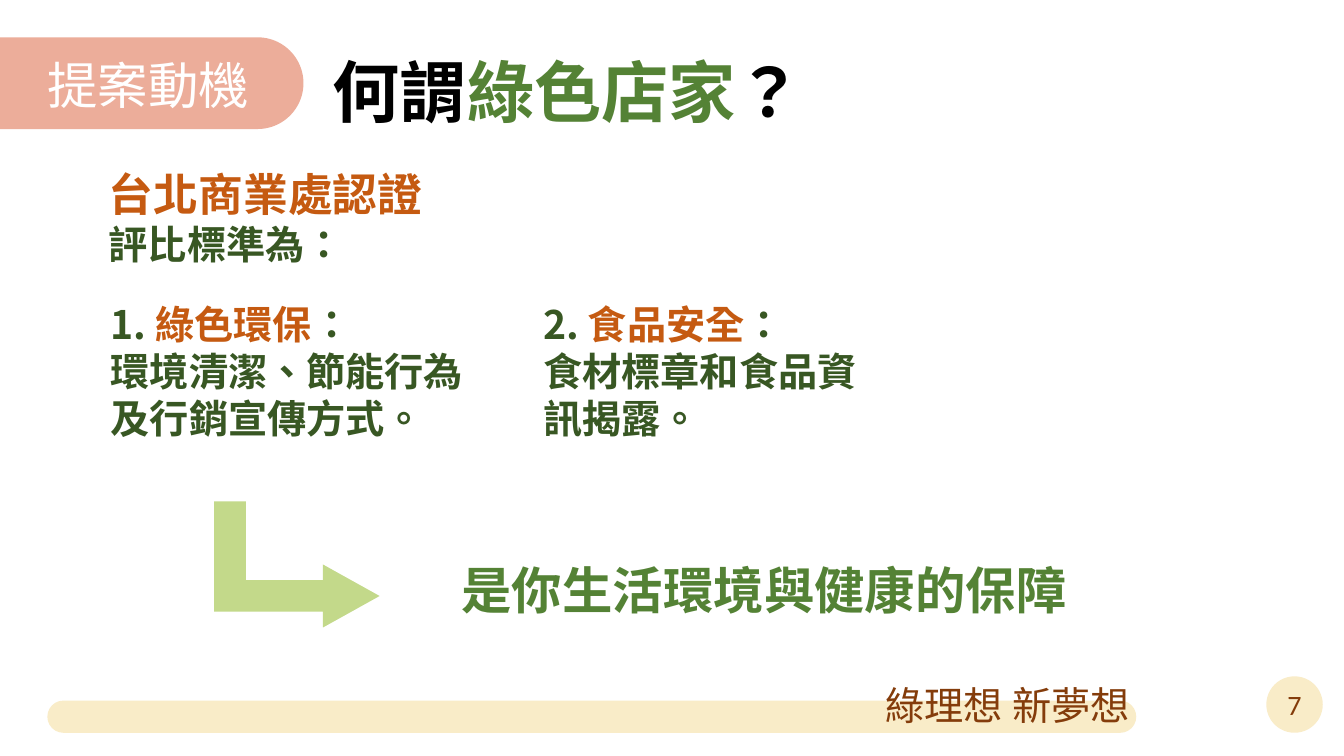
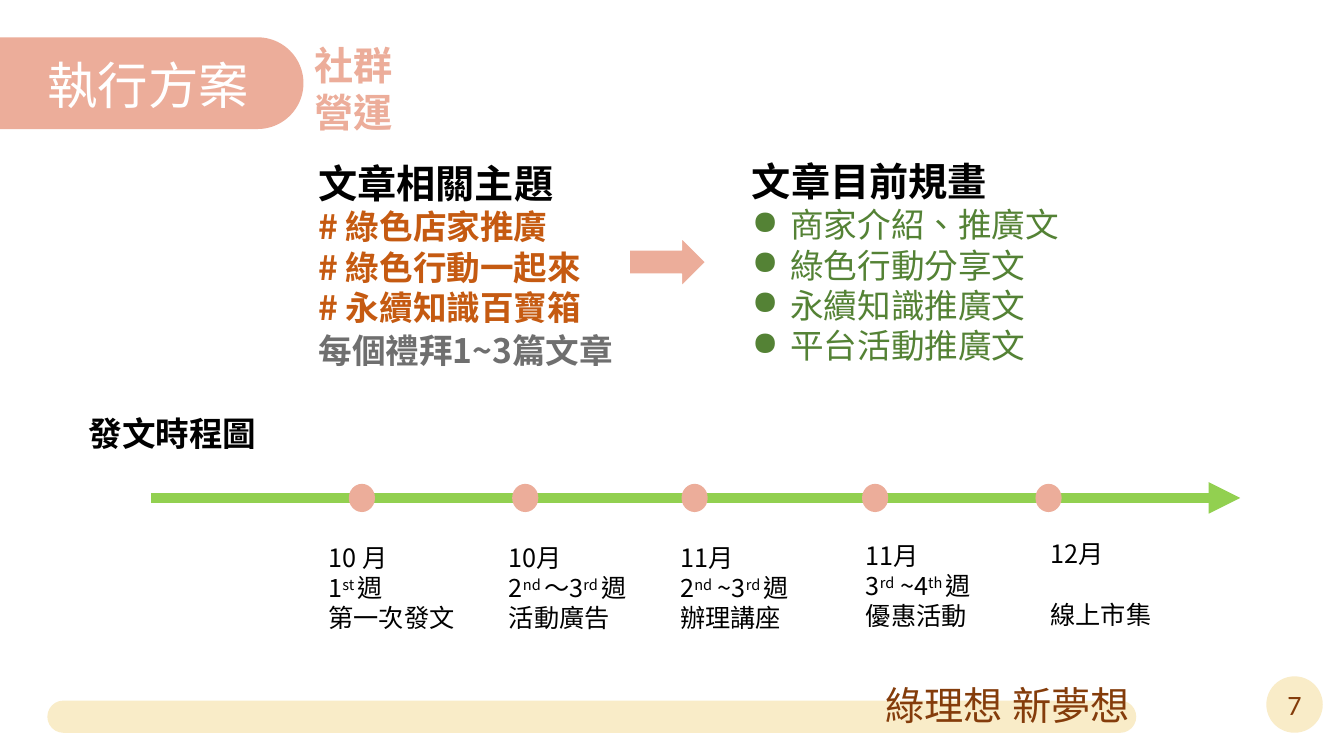
from dataclasses import dataclass, replace

from lxml import etree
from pptx import Presentation
from pptx.dml.color import RGBColor
from pptx.enum.dml import MSO_LINE
from pptx.enum.shapes import MSO_CONNECTOR, MSO_SHAPE
from pptx.enum.text import MSO_ANCHOR, MSO_AUTO_SIZE, PP_ALIGN
from pptx.oxml.ns import qn
from pptx.util import Inches, Pt

ROUND_RECT = MSO_SHAPE.ROUNDED_RECTANGLE
OVAL = MSO_SHAPE.OVAL
RIGHT_ARROW = MSO_SHAPE.RIGHT_ARROW
BENT_ARROW = MSO_SHAPE.BENT_UP_ARROW
STRAIGHT = MSO_CONNECTOR.STRAIGHT
SOLID = MSO_LINE.SOLID

WHITE = RGBColor(0xFF, 0xFF, 0xFF)
BLACK = RGBColor(0x00, 0x00, 0x00)
SALMON = RGBColor(0xEC, 0xAD, 0x9A)
CREAM = RGBColor(0xF9, 0xEC, 0xC8)
BROWN = RGBColor(0x84, 0x3C, 0x0B)
ORANGE = RGBColor(0xC5, 0x5A, 0x11)
GREEN = RGBColor(0x54, 0x82, 0x35)
DARK_GREEN = RGBColor(0x38, 0x57, 0x23)
LIGHT_GREEN = RGBColor(0xC3, 0xD9, 0x8A)
LINE_GREEN = RGBColor(0x92, 0xD0, 0x50)
GREY = RGBColor(0x6F, 0x6F, 0x6F)

CJK, LATO, CALIBRI = "Noto Sans CJK SC", "Lato", "Calibri"


@dataclass(frozen=True)
class Style:
    size: int
    color: RGBColor
    bold: bool = False
    font: str = CJK
    raised: bool = False


LABEL = Style(36, WHITE, font=LATO)
FOOTER = Style(28, BROWN, font=LATO)
PAGE = Style(20, BROWN, font=CALIBRI)
HEADING = Style(28, BLACK, True)
BODY = Style(28, DARK_GREEN, True)
BODY_KEY = replace(BODY, color=ORANGE)
TOPIC = Style(24, ORANGE, True)
PLAN = Style(24, GREEN)
STEP = Style(18, BLACK)
STEP_RAISED = replace(STEP, raised=True)


def add_run(paragraph, text, style):
    run = paragraph.add_run()
    run.text = text
    font = run.font
    font.size, font.bold, font.name = Pt(style.size), style.bold, style.font
    font.color.rgb = style.color
    props = run._r.get_or_add_rPr()
    props.set("lang", "zh-TW")
    if style.raised:
        props.set("baseline", "30000")
    props.find(qn("a:latin")).addnext(
        etree.Element(qn("a:ea"), typeface=style.font))


def set_bullet(paragraph):
    props = paragraph._p.get_or_add_pPr()
    props.set("marL", str(Inches(0.38)))
    props.set("indent", str(-Inches(0.38)))
    etree.SubElement(props, qn("a:buChar"), char="●")


def write(frame, paragraphs, wrap=False, bulleted=()):
    """Fill a frame; each paragraph is a list of (text, style) runs."""
    frame.word_wrap = wrap
    frame.auto_size = MSO_AUTO_SIZE.SHAPE_TO_FIT_TEXT
    frame.vertical_anchor = MSO_ANCHOR.TOP
    for index, runs in enumerate(paragraphs):
        paragraph = frame.add_paragraph() if index else frame.paragraphs[0]
        paragraph.alignment = PP_ALIGN.LEFT
        if index in bulleted:
            set_bullet(paragraph)
        for text, style in runs:
            add_run(paragraph, text, style)


def add_text(slide, box, paragraphs, **options):
    frame = slide.shapes.add_textbox(*map(Inches, box)).text_frame
    write(frame, paragraphs, **options)
    return frame


def add_shape(slide, kind, box, fill):
    shape = slide.shapes.add_shape(kind, *map(Inches, box))
    shape.shadow.inherit = False
    shape.fill.solid()
    shape.fill.fore_color.rgb = fill
    shape.line.fill.background()
    return shape


def add_pill(slide, box, fill):
    add_shape(slide, ROUND_RECT, box, fill).adjustments[0] = 0.5


def add_section_title(slide, label):
    add_pill(slide, (-0.53, 0.37, 3.54, 0.91), SALMON)
    title = slide.shapes.title
    title.left, title.top, title.width, title.height = map(
        Inches, (0.37, 0.49, 2.22, 0.71))
    write(title.text_frame, [[(label, LABEL)]])
    slide.shapes._spTree.append(title._element)  # bring above the band


def add_footer(slide, page):
    add_pill(slide, (0.47, 6.95, 10.8, 0.32), CREAM)
    badge = add_shape(slide, OVAL, (12.56, 6.71, 0.56, 0.56), CREAM)
    frame = badge.text_frame
    frame.vertical_anchor = MSO_ANCHOR.MIDDLE
    frame.paragraphs[0].alignment = PP_ALIGN.CENTER
    add_run(frame.paragraphs[0], page, PAGE)
    add_text(slide, (8.68, 6.71, 2.65, 0.57), [[("綠理想 新夢想", FOOTER)]])


def new_slide(deck, label, page):
    slide = deck.slides.add_slide(deck.slide_layouts[5])
    add_section_title(slide, label)
    add_footer(slide, page)
    return slide


def add_criterion(slide, box, number, name, detail):
    add_text(slide, box, [
        [(number + " ", BODY), (name, BODY_KEY), ("：", BODY)],
        [(detail, BODY)],
    ], wrap=True)


def build_motivation(deck):
    slide = new_slide(deck, "提案動機", "7")
    question = Style(48, BLACK, True)
    add_text(slide, (3.2, 0.45, 4.91, 0.91), [[
        ("何謂", question),
        ("綠色店家", replace(question, color=GREEN)),
        ("？", question),
    ]])
    add_text(slide, (0.98, 1.6, 3.92, 1.58), [
        [("台北商業處認證", replace(BODY_KEY, size=32))],
        [("評比標準為：", BODY)],
    ], wrap=True)
    add_criterion(slide, (1, 2.93, 3.89, 1.51), "1.", "綠色環保",
                  "環境清潔、節能行為及行銷宣傳方式。")
    add_criterion(slide, (5.29, 2.93, 3.44, 1.51), "2.", "食品安全",
                  "食材標章和食品資訊揭露。")
    arrow = add_shape(slide, BENT_ARROW, (2.32, 4.78, 1.25, 1.64), LIGHT_GREEN)
    arrow.rotation = 90
    for index, ratio in enumerate((0.25, 0.25, 0.45)):
        arrow.adjustments[index] = ratio
    add_text(slide, (4.48, 5.5, 6.26, 0.71),
             [[("是你生活環境與健康的保障", Style(36, GREEN, True))]])


def add_articles(slide):
    topics = ("綠色店家推廣", "綠色行動一起來", "永續知識百寶箱")
    plans = ("商家介紹、推廣文", "綠色行動分享文", "永續知識推廣文", "平台活動推廣文")
    add_text(slide, (3.06, 1.53, 2.94, 1.78),
             [[("文章相關主題", HEADING)]]
             + [[("# " + topic, TOPIC)] for topic in topics])
    add_text(slide, (3.06, 3.22, 3.29, 0.5),
             [[("每個禮拜1~3篇文章", replace(TOPIC, color=GREY))]])
    arrow = add_shape(slide, RIGHT_ARROW, (6.24, 2.36, 0.76, 0.48), SALMON)
    arrow.line.color.rgb = WHITE
    arrow.line.width = Pt(1)
    add_text(slide, (7.36, 1.51, 3.27, 2.19),
             [[("文章目前規畫", HEADING)]] + [[(plan, PLAN)] for plan in plans],
             bulleted=range(1, len(plans) + 1))


def add_axis(slide, left, right, y):
    axis = slide.shapes.add_connector(
        STRAIGHT, Inches(left), Inches(y), Inches(right), Inches(y))
    axis.line.color.rgb = LINE_GREEN
    axis.line.width = Pt(7.5)
    axis.line.dash_style = SOLID
    etree.SubElement(axis.line._get_or_add_ln(), qn("a:tailEnd"),
                     type="triangle")
    etree.SubElement(axis._element.spPr, qn("a:effectLst"))


def add_timeline(slide):
    add_text(slide, (0.78, 4.05, 1.88, 0.5),
             [[("發文時程圖", replace(TOPIC, color=BLACK))]])
    axis_y, dot_width, dot_height = 4.94, 0.26, 0.28
    add_axis(slide, 1.5, 12.3, axis_y)
    # dot left, label left, label top, label width, month, weeks, activity;
    # every second part of the weeks is raised
    milestones = (
        (3.46, 3.16, 5.33, 1.46, "10 月", ("1", "st ", "週"), "第一次發文"),
        (5.08, 4.95, 5.33, 1.5, "10月", ("2", "nd ", "～3", "rd ", "週"), "活動廣告"),
        (6.76, 6.65, 5.33, 1.43, "11月", ("2", "nd", " ~3", "rd ", "週"), "辦理講座"),
        (8.55, 8.49, 5.31, 1.39, "11月", ("3", "rd", " ~4", "th ", "週"), "優惠活動"),
        (10.27, 10.32, 5.29, 1.21, "12月", (), "線上市集"),
    )
    for dot_left, left, top, width, month, weeks, activity in milestones:
        add_shape(slide, OVAL, (dot_left, axis_y - dot_height / 2,
                                dot_width, dot_height), SALMON)
        week_runs = [(part, STEP_RAISED if index % 2 else STEP)
                     for index, part in enumerate(weeks)]
        lines = [[(month, STEP)], week_runs, [(activity, STEP)]]
        frame = add_text(slide, (left, top, width, 1.01),
                         [line for line in lines if line], wrap=True)
        if not weeks:
            frame.paragraphs[-1].space_before = Pt(22)


def build_plan(deck):
    slide = new_slide(deck, "執行方案", "7")
    side_heading = Style(28, SALMON, True, LATO)
    add_text(slide, (3.02, 0.36, 0.99, 1.04),
             [[("社群", side_heading)], [("營運", side_heading)]])
    add_articles(slide)
    add_timeline(slide)


def main():
    deck = Presentation()
    deck.slide_width, deck.slide_height = Inches(13.33), Inches(7.5)
    build_motivation(deck)
    build_plan(deck)
    deck.save("out.pptx")


if __name__ == "__main__":
    main()
